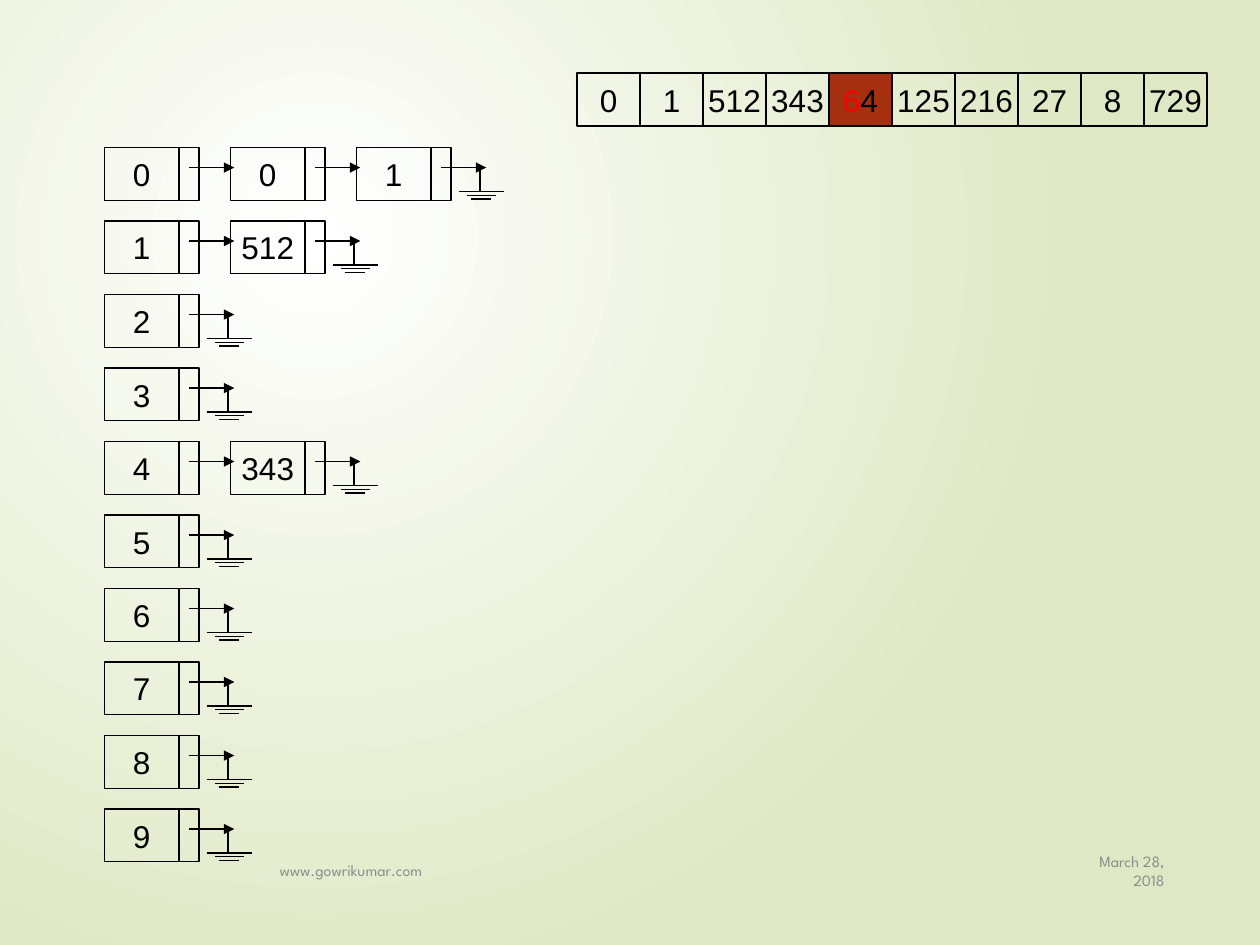
from pptx import Presentation
from pptx.dml.color import RGBColor
from pptx.enum.shapes import MSO_CONNECTOR, MSO_SHAPE
from pptx.enum.text import MSO_ANCHOR, PP_ALIGN
from pptx.oxml import parse_xml
from pptx.oxml.ns import nsdecls, qn
from pptx.util import Inches, Pt

COLORS = {
    "ink": "000000",
    "footer": "8C8C8C",
    "current": "A53010",
    "digit": "FF0000",
    "center": "FFFFFF",
    "edge": "DFE8C4",
}
CELL_HEIGHT = 0.42
VALUE_WIDTH, POINTER_WIDTH = 0.59, 0.16


def add_cell(shapes, left, top, width, runs=(), fill=None):
    """Draw an outlined box holding (text, color name) runs."""
    cell = shapes.add_shape(MSO_SHAPE.RECTANGLE, Inches(left), Inches(top),
                            Inches(width), Inches(CELL_HEIGHT))
    cell.shadow.inherit = False
    if fill:
        cell.fill.solid()
        cell.fill.fore_color.rgb = RGBColor.from_string(COLORS[fill])
    else:
        cell.fill.background()
    cell.line.color.rgb = RGBColor.from_string(COLORS["ink"])
    cell.line.width = Pt(0.75)
    cell.text_frame.word_wrap = False
    cell.text_frame.vertical_anchor = MSO_ANCHOR.MIDDLE
    paragraph = cell.text_frame.paragraphs[0]
    paragraph.alignment = PP_ALIGN.CENTER
    for text, color in runs:
        run = paragraph.add_run()
        run.text = text
        run.font.name = "Arial"
        run.font.size = Pt(18)
        run.font.color.rgb = RGBColor.from_string(COLORS[color])


def add_line(shapes, start, end, arrow=False):
    line = shapes.add_connector(MSO_CONNECTOR.STRAIGHT, *map(Inches, start + end))
    line.line.color.rgb = RGBColor.from_string(COLORS["ink"])
    line.line.width = Pt(0.75)
    if arrow:
        line.line._get_or_add_ln().append(
            parse_xml(f'<a:tailEnd {nsdecls("a")} type="triangle"/>'))
    line._element.spPr.append(parse_xml(f'<a:effectLst {nsdecls("a")}/>'))


presentation = Presentation()
presentation.slide_width, presentation.slide_height = Inches(10), Inches(7.5)
slide = presentation.slides.add_slide(presentation.slide_layouts[6])

# Radial background, centred a quarter of the way in from the top left
background = slide.background.fill
background.gradient()
for stop, position, color in zip(background.gradient_stops, (0, 1), ("center", "edge")):
    stop.position = position
    stop.color.rgb = RGBColor.from_string(COLORS[color])
gradient = slide.element.find(".//" + qn("a:gradFill"))
gradient.replace(gradient.find(qn("a:lin")), parse_xml(
    f'<a:path {nsdecls("a")} path="circle">'
    '<a:fillToRect l="50000" t="50000" r="100000" b="100000"/></a:path>'))

# Footer
for text, left, width, alignment in (
    ("March 28, 2018", 8.5, 0.84, PP_ALIGN.RIGHT),
    ("www.gowrikumar.com", 2.12, 6.25, PP_ALIGN.LEFT),
):
    footer = slide.shapes.add_textbox(Inches(left), Inches(6.71), Inches(width), Inches(0.4))
    footer.text_frame.word_wrap = True
    footer.text_frame.vertical_anchor = MSO_ANCHOR.MIDDLE
    paragraph = footer.text_frame.paragraphs[0]
    paragraph.alignment = alignment
    run = paragraph.add_run()
    run.text = text
    run.font.name = "League Spartan"
    run.font.size = Pt(9)
    run.font.color.rgb = RGBColor.from_string(COLORS["footer"])

# Array being sorted, with the current number and its bucket digit marked
for index, number in enumerate((0, 1, 512, 343, 64, 125, 216, 27, 8, 729)):
    if number == 64:
        runs, fill = [("6", "digit"), ("4", "ink")], "current"
    else:
        runs, fill = [(str(number), "ink")], None
    add_cell(slide.shapes, 4.58 + 0.5 * index, 0.58, 0.5, runs, fill)

# Buckets: one linked list per digit, ending in a ground symbol
bucket_contents = {0: [0, 1], 1: [512], 4: [343]}
for bucket in range(10):
    top = 1.17 + 7 / 12 * bucket
    nodes = [bucket] + bucket_contents.get(bucket, [])
    for position, value in enumerate(nodes):
        left = 0.83 + position
        node = slide.shapes.add_group_shape().shapes
        add_cell(node, left, top, VALUE_WIDTH, [(str(value), "ink")])
        add_cell(node, left + VALUE_WIDTH, top, POINTER_WIDTH)
        pointer_y = top + 0.16
        add_line(node, (left + 0.67, pointer_y), (left + 1.03, pointer_y), arrow=True)
        if position == len(nodes) - 1:
            ground_x, ground_y = left + 0.99, top + 0.35
            add_line(node, (left + 0.98, ground_y), (left + 0.98, pointer_y))
            for step, half_width in enumerate((0.18, 0.115, 0.08)):
                bar_y = ground_y + 0.03 * step
                add_line(node, (ground_x - half_width, bar_y), (ground_x + half_width, bar_y))

presentation.save("out.pptx")
